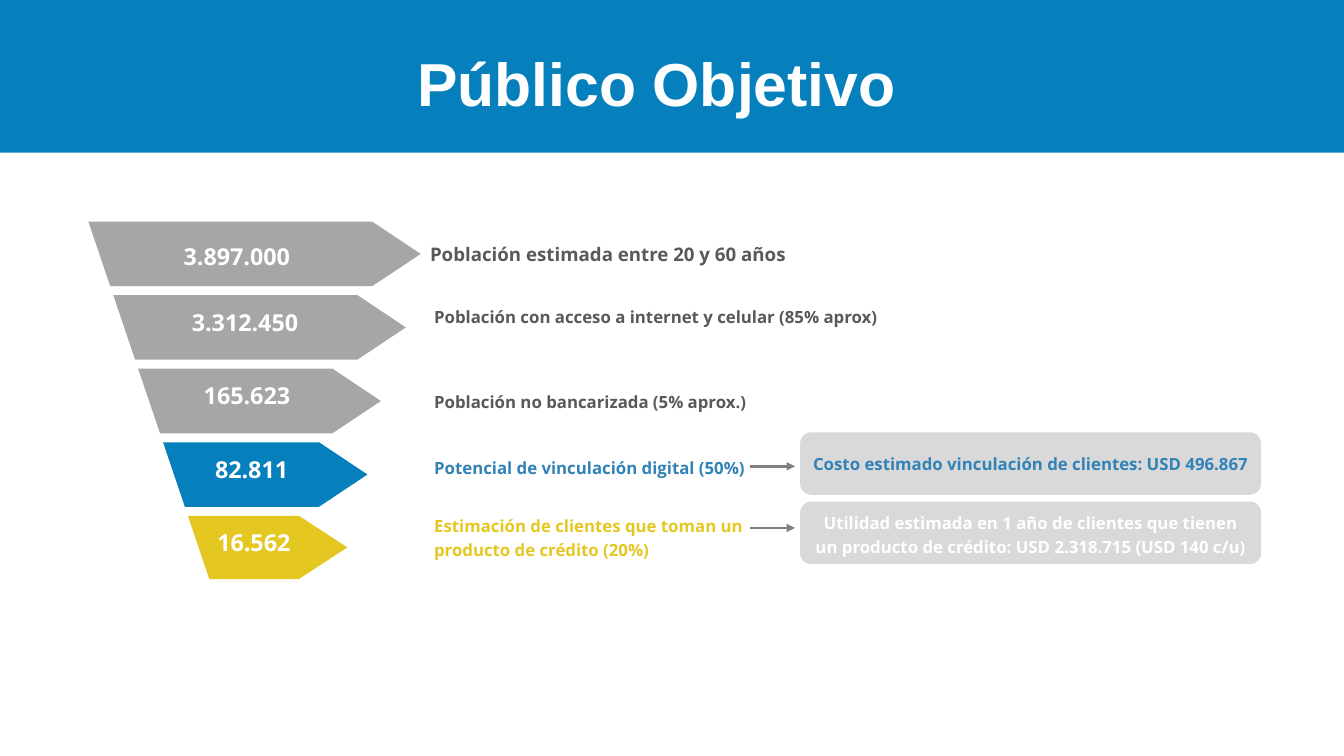
from lxml import etree
from pptx import Presentation
from pptx.dml.color import RGBColor as RGB
from pptx.enum.shapes import MSO_CONNECTOR as CONN, MSO_SHAPE as SHAPE
from pptx.enum.text import MSO_ANCHOR as ANCHOR, PP_ALIGN as ALIGN
from pptx.oxml.ns import qn
from pptx.util import Cm, Pt

WHITE = RGB(0xFF, 0xFF, 0xFF)
BLUE = RGB(0x05, 0x80, 0xBC)
TEXT_BLUE = RGB(0x31, 0x82, 0xB6)
YELLOW = RGB(0xE5, 0xC7, 0x22)
GRAY = RGB(0xA6, 0xA6, 0xA6)
TEXT_GRAY = RGB(0x59, 0x59, 0x59)
LINE_GRAY = RGB(0x80, 0x80, 0x80)
BOX_GRAY = RGB(0xD9, 0xD9, 0xD9)

WIDTH, HEIGHT = 50.8, 28.58
PITCH = 2.78   # distance from one funnel step to the next
TIP = 1.83     # length of an arrow point

# left, right, height, fill; then number, its left, width and rise above the bar
STEPS = [
    (0, 12.83, 2.44, GRAY, "3.897.000", 0.94, 9.88, 0),
    (0.94, 12.27, 2.44, GRAY, "3.312.450", 2.01, 8.36, 0.6),
    (1.91, 11.33, 2.44, GRAY, "165.623", 2.85, 6.83, 0.6),
    (2.85, 10.82, 2.44, BLUE, "82.811", 3.61, 5.66, 0.6),
    (3.61, 10.06, 2.39, YELLOW, "16.562", 4.52, 4.01, 0.6),
]

# left, top, width, height, size, colour, alignment, text
DESCRIPTIONS = [
    (0, 0, 14.1, 0.86, 20, TEXT_GRAY, ALIGN.CENTER,
     "Población estimada entre 20 y 60 años"),
    (0.48, 2.36, 17.65, 0.84, 18, TEXT_GRAY, ALIGN.LEFT,
     "Población con acceso a internet y celular (85% aprox)"),
    (0.48, 5.56, 12.34, 0.84, 18, TEXT_GRAY, ALIGN.LEFT,
     "Población no bancarizada (5% aprox.)"),
    (0.48, 8.05, 12.34, 0.84, 18, TEXT_BLUE, ALIGN.LEFT,
     "Potencial de vinculación digital (50%)"),
    (0.48, 10.26, 14.43, 1.73, 18, YELLOW, ALIGN.LEFT,
     "Estimación de clientes que toman un producto de crédito (20%)"),
]

# top, arrow height, colour, line spacing, text
RESULTS = [
    (0, 1.25, TEXT_BLUE, None,
     "Costo estimado vinculación de clientes: USD 496.867"),
    (2.62, 3.58, WHITE, 25.2,
     "Utilidad estimada en 1 año de clientes que tienen "
     "un producto de crédito: USD 2.318.715 (USD 140 c/u)"),
]


def write(tf, text, size, color, align, spacing=None, font="Open Sans"):
    tf.word_wrap = True
    p = tf.paragraphs[0]
    p.alignment = align
    if spacing:
        p.line_spacing = Pt(spacing)
    r = p.add_run()
    r.text = text
    r.font.name, r.font.size, r.font.bold = font, Pt(size), True
    r.font.color.rgb = color


def set_margins(tf, margin):
    tf.margin_left = tf.margin_right = tf.margin_top = tf.margin_bottom = Cm(margin)


def add_text(s, x, y, w, h, margin, anchor, *style):
    tf = s.shapes.add_textbox(Cm(x), Cm(y), Cm(w), Cm(h)).text_frame
    set_margins(tf, margin)
    tf.vertical_anchor = anchor
    write(tf, *style)


def paint(sp, color):
    sp.shadow.inherit = False
    sp.fill.solid()
    sp.fill.fore_color.rgb = color
    sp.line.fill.background()


def add_outline(s, points, color):
    start, *rest = [(Cm(x), Cm(y)) for x, y in points]
    builder = s.shapes.build_freeform(*start)
    builder.add_line_segments(rest, close=True)
    paint(builder.convert_to_shape(), color)


def add_arrow(s, x, y, length):
    line = s.shapes.add_connector(CONN.STRAIGHT, Cm(x), Cm(y), Cm(x + length), Cm(y))
    line.line.color.rgb = LINE_GRAY
    line.line.width = Pt(3)
    etree.SubElement(line.line._get_or_add_ln(), qn("a:tailEnd"), type="triangle")
    etree.SubElement(line._element.spPr, qn("a:effectLst"))


def add_header(s, w, h):
    band = s.shapes.add_shape(SHAPE.RECTANGLE, 0, 0, Cm(w), Cm(h))
    paint(band, BLUE)
    # Band goes behind the title
    s.shapes.title._element.addprevious(band._element)
    title = s.shapes.title
    title.left, title.top, title.width, title.height = Cm(2.69), Cm(2.36), Cm(44.27), Cm(2.29)
    tf = title.text_frame
    set_margins(tf, 0)
    tf.vertical_anchor = ANCHOR.TOP
    write(tf, "Público Objetivo", 65, WHITE, ALIGN.CENTER, 60.5, "Arial")


def add_funnel(s, x, y):
    # Bars ending in a point
    for i, (left, right, h, fill, *_) in enumerate(STEPS):
        x0, x1, top = x + left, x + right, y + i * PITCH
        add_outline(s, [(x1 - TIP, top), (x0, top), (x0, top + h),
                        (x1 - TIP, top + h), (x1, top + h / 2)], fill)
    # White strip that slants the left edge
    strip = [(5.26, 14.76), (-0.58, -2.51), (-2.59, -1.83), (3.23, 15.45), (4.93, 17.17)]
    add_outline(s, [(x + dx, y + dy) for dx, dy in strip], WHITE)
    # Numbers
    for i, (_, _, h, _, number, left, w, rise) in enumerate(STEPS):
        add_text(s, x + left, y + i * PITCH - rise, w, h + rise, 0.15, ANCHOR.MIDDLE,
                 number, 25, WHITE, ALIGN.CENTER, 35)


def add_descriptions(s, x, y):
    for left, top, w, h, size, color, align, text in DESCRIPTIONS:
        add_text(s, x + left, y + top, w, h, 0, ANCHOR.TOP, text, size, color, align, 25.2)


def add_results(s, x, y, w, h):
    for top, arrow_y, color, spacing, text in RESULTS:
        add_arrow(s, x - 1.93, y + arrow_y, 1.7)
        box = s.shapes.add_shape(SHAPE.ROUNDED_RECTANGLE, Cm(x), Cm(y + top), Cm(w), Cm(h))
        paint(box, BOX_GRAY)
        box.line.color.rgb = BOX_GRAY
        box.line.width = Pt(2)
        box.text_frame.vertical_anchor = ANCHOR.MIDDLE
        write(box.text_frame, text, 18, color, ALIGN.CENTER, spacing)


def main():
    prs = Presentation()
    prs.slide_width, prs.slide_height = Cm(WIDTH), Cm(HEIGHT)
    s = prs.slides.add_slide(prs.slide_layouts[5])
    add_header(s, WIDTH, 5.77)
    add_funnel(s, 3.07, 8.38)
    add_descriptions(s, 15.93, 9.12)
    add_results(s, 30.28, 16.38, 17.35, 2.29)
    prs.save("out.pptx")


if __name__ == "__main__":
    main()
